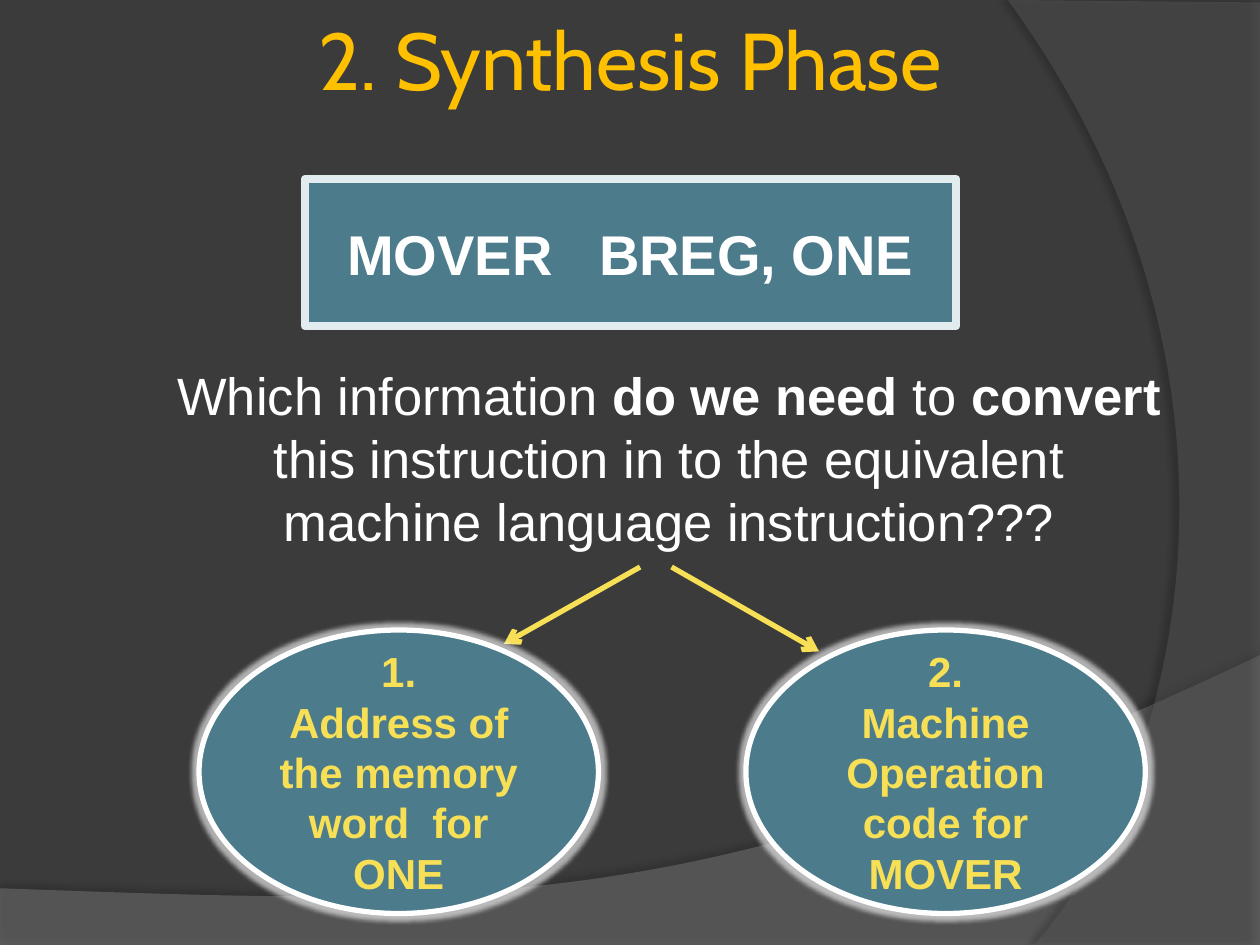
from dataclasses import dataclass

from lxml.etree import SubElement
from pptx import Presentation
from pptx.dml.color import RGBColor
from pptx.enum.shapes import MSO_CONNECTOR as Connector, MSO_SHAPE as Preset
from pptx.enum.text import MSO_ANCHOR as Anchor, PP_ALIGN as Align
from pptx.oxml.ns import qn
from pptx.util import Inches, Pt

TEAL, YELLOW, WHITE, BLACK = "4C7C8B", "F7DF56", "FFFFFF", "000000"
Point = tuple[float, float]


@dataclass
class Box:
    left: float
    top: float
    width: float
    height: float

    def lengths(self) -> list[int]:
        return [Inches(v) for v in (self.left, self.top, self.width, self.height)]


@dataclass
class Swoosh:
    before: list[Point]
    curve: list[Point]
    after: list[Point]
    fill: str
    opacity: int
    shadow_opacity: int
    shadow_distance: float
    shadow_angle: int


@dataclass
class Answer:
    left: float
    number: str
    text: str
    arrow_start: Point
    arrow_end: Point


SWOOSHES = [
    Swoosh([(0, 7.05), (0, 7.5), (10, 7.5)],
           [(10, 5.2), (5.59, 7.29), (3.91, 7.19), (0, 7.05)], [],
           "7F7F7F", 45, 35, 3.5, 270),
    Swoosh([(10, 0.02), (10, 7.5)],
           [(8.21, 7.5), (9.35, 6.19), (10.18, 3), (8, 0)], [(10, 0.02)],
           "5E5E5E", 40, 45, 4, 180),
]
ANSWERS = [
    Answer(5.92, "2.", "Machine Operation code for MOVER", (5.33, 4.5), (6.5, 5.17)),
    Answer(1.58, "1.", "Address of the memory word  for ONE", (5.08, 4.5), (4, 5.11)),
]


def color(value: str) -> RGBColor:
    return RGBColor.from_string(value)


def add_color(parent, value: str, opacity: int) -> None:
    element = SubElement(parent, qn("a:srgbClr"), val=value)
    SubElement(element, qn("a:alpha"), val=str(opacity * 1000))


def effect_list(shape):
    properties = shape._element.spPr
    existing = properties.find(qn("a:effectLst"))
    return SubElement(properties, qn("a:effectLst")) if existing is None else existing


def curve_points(curve: list[Point], steps: int = 60) -> list[Point]:
    points = []
    for step in range(steps + 1):
        t = step / steps
        weights = ((1 - t) ** 3, 3 * t * (1 - t) ** 2, 3 * t * t * (1 - t), t ** 3)
        points.append((sum(w * x for w, (x, _) in zip(weights, curve)),
                       sum(w * y for w, (_, y) in zip(weights, curve))))
    return points


def draw_swoosh(slide, swoosh: Swoosh) -> None:
    points = swoosh.before + curve_points(swoosh.curve) + swoosh.after
    points = [(Inches(x), Inches(y)) for x, y in points]
    builder = slide.shapes.build_freeform(*points[0])
    builder.add_line_segments(points[1:], close=True)
    shape = builder.convert_to_shape()
    shape.shadow.inherit = False
    shape.line.fill.background()
    shape.fill.solid()
    shape.fill.fore_color.rgb = color(swoosh.fill)
    fill_color = shape._element.spPr.find(qn("a:solidFill")).find(qn("a:srgbClr"))
    SubElement(fill_color, qn("a:alpha"), val=str(swoosh.opacity * 1000))
    shadow = SubElement(effect_list(shape), qn("a:outerShdw"), blurRad=str(Pt(4)),
                        dist=str(Pt(swoosh.shadow_distance)),
                        dir=str(swoosh.shadow_angle * 60000), rotWithShape="0")
    add_color(shadow, BLACK, swoosh.shadow_opacity)


def write(shape, paragraphs: list[list[tuple[str, bool]]], size: int, text_color: str,
          font: str = "Arial", anchor=Anchor.MIDDLE) -> None:
    frame = shape.text_frame
    frame.word_wrap = True
    frame.vertical_anchor = anchor
    for index, runs in enumerate(paragraphs):
        paragraph = frame.add_paragraph() if index else frame.paragraphs[0]
        paragraph.alignment = Align.CENTER
        for text, bold in runs:
            run = paragraph.add_run()
            run.text = text
            formats = {"name": font, "size": Pt(size), "bold": bold}
            for name, value in formats.items():
                setattr(run.font, name, value)
            run.font.color.rgb = color(text_color)


def draw_shape(slide, preset, box: Box, line: str, width: float):
    shape = slide.shapes.add_shape(preset, *box.lengths())
    shape.shadow.inherit = False
    shape.fill.solid()
    shape.fill.fore_color.rgb = color(TEAL)
    shape.line.color.rgb = color(line)
    shape.line.width = Pt(width)
    return shape


def draw_arrow(slide, start: Point, end: Point) -> None:
    arrow = slide.shapes.add_connector(
        Connector.STRAIGHT, *[Inches(v) for v in (*start, *end)])
    arrow.line.color.rgb = color(YELLOW)
    arrow.line.width = Pt(3)
    SubElement(arrow.line._get_or_add_ln(), qn("a:tailEnd"), type="arrow")
    effect_list(arrow)


def draw_answer(slide, answer: Answer) -> None:
    ellipse = draw_shape(slide, Preset.OVAL, Box(answer.left, 5, 3.17, 2.25), WHITE, 3)
    glow = SubElement(effect_list(ellipse), qn("a:glow"), rad=str(Pt(5)))
    add_color(glow, WHITE, 60)
    write(ellipse, [[(answer.number, True)], [(answer.text, True)]], 24, YELLOW)


def main() -> None:
    presentation = Presentation()
    presentation.slide_width = Inches(10)
    presentation.slide_height = Inches(7.5)
    slide = presentation.slides.add_slide(presentation.slide_layouts[6])
    slide.background.fill.solid()
    slide.background.fill.fore_color.rgb = color("3B3B3B")

    for swoosh in SWOOSHES:
        draw_swoosh(slide, swoosh)

    title = slide.shapes.add_textbox(*Box(0.5, -0.16, 9, 1.25).lengths())
    write(title, [[("2. Synthesis Phase", False)]], 46, "FFC000", "Cabin")

    instruction = draw_shape(slide, Preset.RECTANGLE, Box(2.42, 1.42, 5.17, 1.17),
                             "E2ECEF", 4.5)
    write(instruction, [[("MOVER   BREG, ONE", True)]], 32, WHITE)

    question = slide.shapes.add_textbox(*Box(0.83, 2.83, 8.5, 1.67).lengths())
    write(question, [[("Which information ", False), ("do we need ", True),
                      ("to ", False), ("convert", True),
                      (" this instruction in to the equivalent machine language "
                       "instruction???", False)]], 30, WHITE, anchor=Anchor.TOP)
    question.text_frame.margin_left = Inches(0.56)

    for answer in ANSWERS:
        draw_arrow(slide, answer.arrow_start, answer.arrow_end)
    for answer in reversed(ANSWERS):
        draw_answer(slide, answer)
    presentation.save("out.pptx")


if __name__ == "__main__":
    main()
